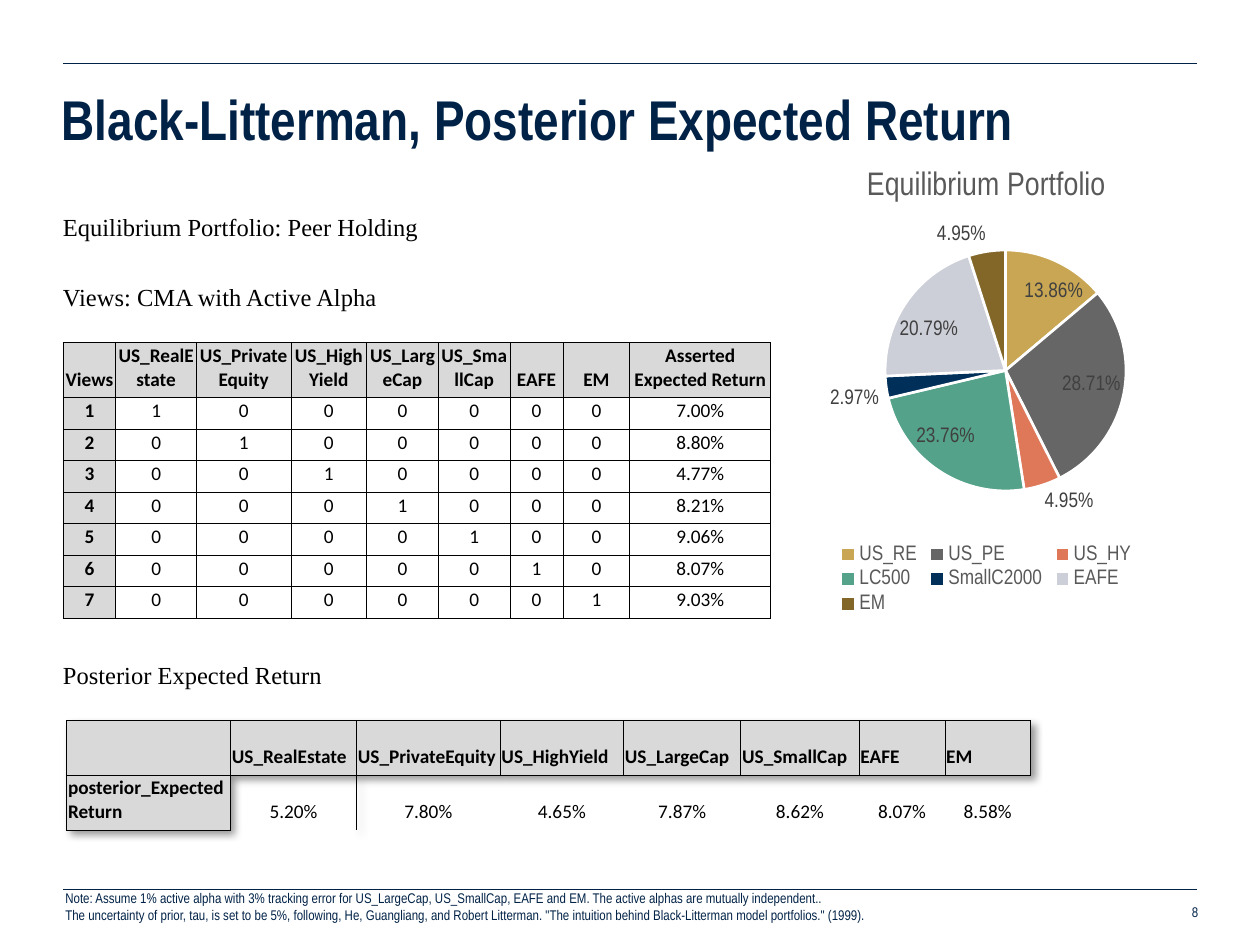
from dataclasses import dataclass

from lxml import etree
from pptx import Presentation
from pptx.chart.data import CategoryChartData
from pptx.dml.color import RGBColor
from pptx.enum.chart import XL_CHART_TYPE, XL_LABEL_POSITION, XL_LEGEND_POSITION
from pptx.enum.shapes import MSO_CONNECTOR
from pptx.enum.text import MSO_ANCHOR, MSO_AUTO_SIZE, PP_ALIGN
from pptx.oxml import parse_xml
from pptx.oxml.ns import nsdecls, qn
from pptx.util import Inches, Pt

LEFT, CENTER, RIGHT, JUSTIFY = PP_ALIGN.LEFT, PP_ALIGN.CENTER, PP_ALIGN.RIGHT, PP_ALIGN.JUSTIFY
TOP, MIDDLE, BOTTOM = MSO_ANCHOR.TOP, MSO_ANCHOR.MIDDLE, MSO_ANCHOR.BOTTOM

NAVY, BLACK, WHITE = "002247", "000000", "FFFFFF"
HEADER_GREY, TITLE_GREY, LABEL_GREY = "D9D9D9", "595959", "404040"
NARROW, SANS, SERIF = "Arial Narrow", "Calibri", "Times New Roman"
NO_STYLE = "{2D5ABB26-0587-4C30-8999-92F81FD0307C}"
SIDES = ("L", "R", "T", "B")

ASSETS = ["US_RealEstate", "US_PrivateEquity", "US_HighYield", "US_LargeCap",
          "US_SmallCap", "EAFE", "EM"]
ASSERTED_RETURNS = ["7.00%", "8.80%", "4.77%", "8.21%", "9.06%", "8.07%", "9.03%"]
POSTERIOR_RETURNS = ["5.20%", "7.80%", "4.65%", "7.87%", "8.62%", "8.07%", "8.58%"]


@dataclass
class Slice:
    name: str
    weight: float
    color: str


@dataclass
class TextLine:
    text: str
    space_before: float = 0


@dataclass
class Cell:
    text: str
    header: bool = False
    align: PP_ALIGN = CENTER
    borders: tuple = SIDES


SLICES = [
    Slice("US_RE", 0.1386, "C9A653"),
    Slice("US_PE", 0.2871, "666666"),
    Slice("US_HY", 0.0495, "DF7759"),
    Slice("LC500", 0.2376, "54A289"),
    Slice("SmallC2000", 0.0297, "002F59"),
    Slice("EAFE", 0.2079, "CDCFD8"),
    Slice("EM", 0.0495, "826729"),
]


def rgb(color: str) -> RGBColor:
    return RGBColor.from_string(color)


def set_font(font, name: str, size: float, color: str, bold: bool = False) -> None:
    font.name, font.size, font.bold = name, Pt(size), bold
    font.color.rgb = rgb(color)


def place(shape, left: float, top: float, width: float, height: float) -> None:
    shape.left, shape.top = Inches(left), Inches(top)
    shape.width, shape.height = Inches(width), Inches(height)


def set_frame(frame, anchor: MSO_ANCHOR, left: float = 0.1, right: float = 0.1) -> None:
    frame.word_wrap, frame.auto_size = True, MSO_AUTO_SIZE.NONE
    frame.vertical_anchor = anchor
    frame.margin_left, frame.margin_right = Inches(left), Inches(right)
    frame.margin_top = frame.margin_bottom = Inches(0.05)


def add_text(slide, box: tuple, lines: list[TextLine], name: str, size: float, color: str,
             align: PP_ALIGN = LEFT, anchor: MSO_ANCHOR = TOP,
             left: float = 0.1, right: float = 0.1) -> None:
    frame = slide.shapes.add_textbox(*map(Inches, box)).text_frame
    set_frame(frame, anchor, left, right)
    for index, line in enumerate(lines):
        paragraph = frame.add_paragraph() if index else frame.paragraphs[0]
        paragraph.text, paragraph.alignment = line.text, align
        paragraph.space_before = Pt(line.space_before)
        set_font(paragraph.font, name, size, color)


def add_rule(slide, y: float) -> None:
    rule = slide.shapes.add_connector(
        MSO_CONNECTOR.STRAIGHT, Inches(0.5), Inches(y), Inches(9.5), Inches(y))
    rule.line.color.rgb, rule.line.width = rgb(NAVY), Pt(0.5)
    etree.SubElement(rule._element.spPr, qn("a:effectLst"))


def format_cell(cell, content: Cell) -> None:
    cell.vertical_anchor = BOTTOM
    cell.margin_left = cell.margin_right = cell.margin_top = Inches(0.01)
    cell.margin_bottom = Inches(0.05)
    if content.header:
        cell.fill.solid()
        cell.fill.fore_color.rgb = rgb(HEADER_GREY)
    else:
        cell.fill.background()
    paragraph = cell.text_frame.paragraphs[0]
    paragraph.text, paragraph.alignment = content.text, content.align
    set_font(paragraph.font, SANS, 11, BLACK, content.header)
    # Border lines come before the fill in the cell properties
    properties = cell._tc.get_or_add_tcPr()
    for index, side in enumerate(content.borders):
        properties.insert(index, parse_xml(
            f'<a:ln{side} {nsdecls("a")} w="6350"><a:solidFill>'
            f'<a:srgbClr val="{BLACK}"/></a:solidFill></a:ln{side}>'))


def add_table(slide, left: float, top: float, widths: list[float], heights: list[float],
              rows: list[list[Cell]]):
    table = slide.shapes.add_table(
        len(rows), len(widths), Inches(left), Inches(top),
        Inches(sum(widths)), Inches(sum(heights))).table
    table.first_row = table.horz_banding = False
    table._tbl.tblPr.find(qn("a:tableStyleId")).text = NO_STYLE
    for column, width in zip(table.columns, widths):
        column.width = Inches(width)
    for row, height, contents in zip(table.rows, heights, rows):
        row.height = Inches(height)
        for cell, content in zip(row.cells, contents):
            format_cell(cell, content)
    return table


def add_pie(slide) -> None:
    data = CategoryChartData(number_format="0.00%")
    data.categories = [part.name for part in SLICES]
    data.add_series("Series 1", [part.weight for part in SLICES])
    chart = slide.shapes.add_chart(
        XL_CHART_TYPE.PIE, Inches(6.15), Inches(1.16), Inches(3.36), Inches(3.75), data).chart
    set_font(chart.font, NARROW, 10, BLACK)
    chart.has_title = True
    title = chart.chart_title.text_frame.paragraphs[0]
    title.text = "Equilibrium Portfolio"
    set_font(title.font, NARROW, 18.6, TITLE_GREY)
    chart.has_legend = True
    chart.legend.position = XL_LEGEND_POSITION.BOTTOM
    chart.legend.include_in_layout = False
    set_font(chart.legend.font, NARROW, 12, TITLE_GREY)

    plot = chart.plots[0]
    plot.vary_by_categories = True
    for index, part in enumerate(SLICES):
        point = plot.series[0].points[index].format
        point.fill.solid()
        point.fill.fore_color.rgb = rgb(part.color)
        point.line.color.rgb, point.line.width = rgb(WHITE), Pt(1.5)
    labels = plot.series[0].data_labels
    labels.show_value = True
    labels.number_format, labels.number_format_is_linked = "0.00%", False
    labels.position = XL_LABEL_POSITION.BEST_FIT
    set_font(labels.font, NARROW, 12, LABEL_GREY)

    # Fixed plot area within the chart
    area = chart._chartSpace.chart.plotArea
    for layout in area.findall(qn("c:layout")):
        area.remove(layout)
    sizes = "".join(f'<c:{key} val="{value}"/>' for key, value in
                    (("x", 0.26), ("y", 0.22), ("w", 0.57), ("h", 0.51)))
    area.insert(0, parse_xml(
        f'<c:layout {nsdecls("c")}><c:manualLayout><c:layoutTarget val="inner"/>'
        f'<c:xMode val="edge"/><c:yMode val="edge"/>{sizes}</c:manualLayout></c:layout>'))


def main() -> None:
    presentation = Presentation()
    presentation.slide_width, presentation.slide_height = Inches(10), Inches(7.5)
    slide = presentation.slides.add_slide(presentation.slide_layouts[5])

    # Rules and title
    add_rule(slide, 0.5)
    add_rule(slide, 7.06)
    title = slide.shapes.title
    place(title, 0.49, 0.52, 9.01, 0.83)
    set_frame(title.text_frame, MIDDLE, left=0)
    paragraph = title.text_frame.paragraphs[0]
    paragraph.text, paragraph.alignment = "Black-Litterman, Posterior Expected Return", LEFT
    set_font(paragraph.font, NARROW, 32, NAVY, True)

    # Section headings, spaced to leave room for the tables
    add_text(slide, (0.5, 1.63, 9, 5.32), [
        TextLine("Equilibrium Portfolio: Peer Holding", 2.8),
        TextLine("Views: CMA with Active Alpha", 23.3),
        TextLine("Posterior Expected Return", 199.3),
    ], SERIF, 14, BLACK, left=0)

    # Page number and footnote
    add_text(slide, (7.15, 7.1, 2.36, 0.27), [TextLine("8")], NARROW, 8, NAVY,
             RIGHT, MIDDLE, right=0)
    add_text(slide, (0.42, 7.01, 9.08, 0.46), [
        TextLine("Note: Assume 1% active alpha with 3% tracking error for US_LargeCap, "
                 "US_SmallCap, EAFE and EM. The active alphas are mutually independent.."),
        TextLine("The uncertainty of prior, tau, is set to be 5%, following, He, Guangliang, "
                 "and Robert Litterman. \"The intuition behind Black-Litterman model "
                 "portfolios.\" (1999)."),
    ], NARROW, 8, NAVY, JUSTIFY)

    add_pie(slide)

    # Views: each one picks a single asset
    views = [[Cell(text, True) for text in ["Views", *ASSETS, "Asserted Expected Return"]]]
    for view, asserted in enumerate(ASSERTED_RETURNS):
        picks = [Cell(str(int(asset == view))) for asset in range(len(ASSETS))]
        views.append([Cell(str(view + 1), True), *picks, Cell(asserted)])
    add_table(slide, 0.5, 2.72, [0.42, 0.64, 0.75, 0.6, 0.57, 0.57, 0.42, 0.53, 1.12],
              [0.43] + [0.25] * len(ASSERTED_RETURNS), views)

    # Posterior returns, with a soft shadow
    header = [Cell(text, True, LEFT) for text in ["", *ASSETS]]
    returns = [Cell(text, borders=("T",) if index else ("L", "T"))
               for index, text in enumerate(POSTERIOR_RETURNS)]
    posterior = add_table(slide, 0.53, 5.72, [1.3, 1, 1.14, 0.98, 0.93, 0.94, 0.68, 0.68],
                          [0.43] * 2,
                          [header, [Cell("posterior_ExpectedReturn", True, LEFT), *returns]])
    posterior._tbl.tblPr.insert(0, parse_xml(
        f'<a:effectLst {nsdecls("a")}><a:outerShdw blurRad="50800" dist="38100" dir="2700000">'
        f'<a:srgbClr val="{BLACK}"><a:alpha val="40000"/></a:srgbClr>'
        '</a:outerShdw></a:effectLst>'))

    presentation.save("out.pptx")


if __name__ == "__main__":
    main()
